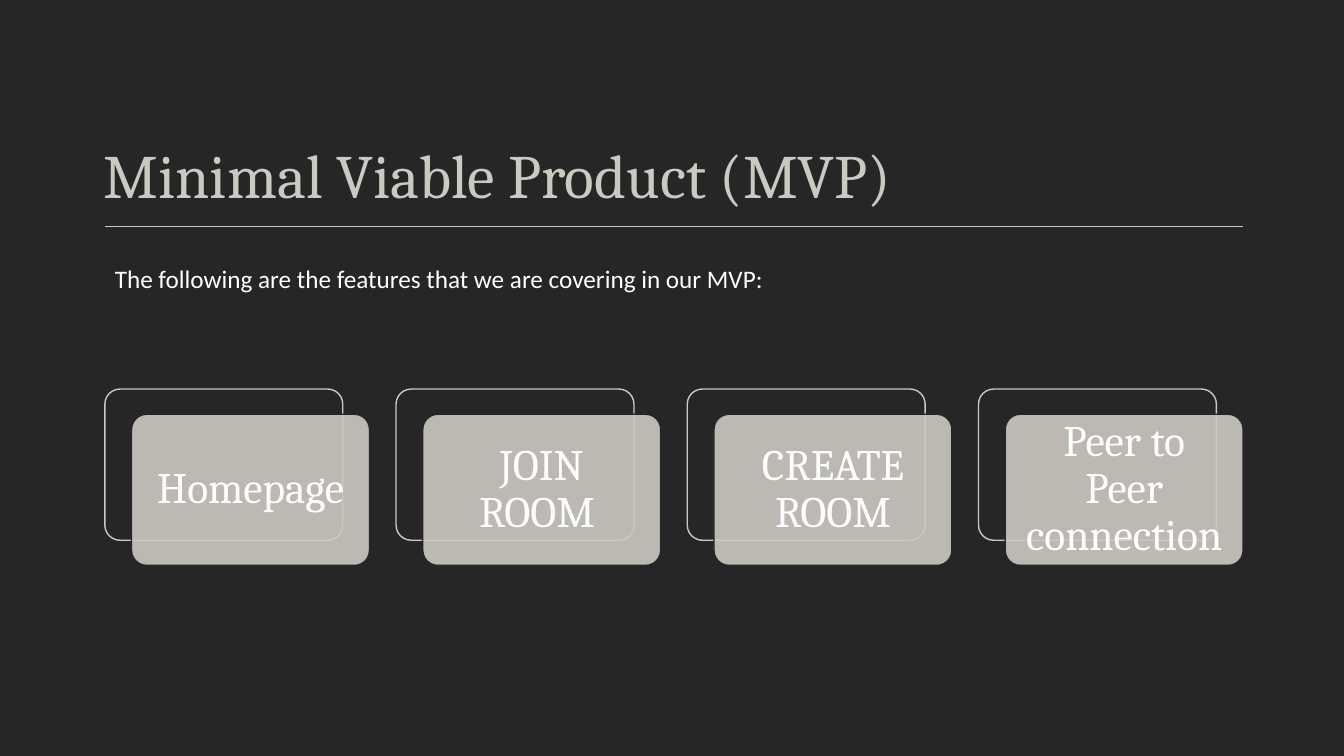
import pptx
import pptx.util
import pptx.dml.color
import pptx.enum.shapes
import pptx.enum.text
import pptx.oxml
import pptx.oxml.ns

Inches, Pt = pptx.util.Inches, pptx.util.Pt
Align, Anchor = pptx.enum.text.PP_ALIGN, pptx.enum.text.MSO_ANCHOR
RGBColor = pptx.dml.color.RGBColor

# Content
TITLE = "Minimal Viable Product (MVP)"
INTRO = "The following are the features that we are covering in our MVP:"
FEATURES = ["Homepage", "JOIN ROOM ", "CREATE ROOM", "Peer to Peer connection"]

# Colours and fonts
DARK = RGBColor(0x26, 0x26, 0x26)
STONE = RGBColor(0xCC, 0xC9, 0xC2)
WHITE = RGBColor(0xFF, 0xFF, 0xFF)
HEADING, BODY = "Cambria", "Calibri"

# Grid, in inches
LEFT, RIGHT = 1.04, 12.33
CARD_WIDTH, CARD_HEIGHT, CARD_TOP = 2.36, 1.5, 3.86
SHIFT_X, SHIFT_Y = 0.265, 0.25
PITCH = (RIGHT - LEFT - SHIFT_X - CARD_WIDTH) / (len(FEATURES) - 1)


def write(shape, text, size, color, font=HEADING, align=Align.LEFT,
          anchor=Anchor.TOP, spacing=1.0, margins=(0.1, 0.05)):
    frame = shape.text_frame
    frame.word_wrap = True
    frame.auto_size = pptx.enum.text.MSO_AUTO_SIZE.NONE
    frame.vertical_anchor = anchor
    frame.margin_left = frame.margin_right = Inches(margins[0])
    frame.margin_top = frame.margin_bottom = Inches(margins[1])
    para = frame.paragraphs[0]
    para.alignment, para.line_spacing = align, spacing
    span = para.add_run()
    span.text = text
    span.font.name, span.font.size = font, Pt(size)
    span.font.color.rgb = color


def add_card(left, top, fill, line):
    card = page.shapes.add_shape(
        pptx.enum.shapes.MSO_SHAPE.ROUNDED_RECTANGLE,
        Inches(left), Inches(top), Inches(CARD_WIDTH), Inches(CARD_HEIGHT))
    card.adjustments[0] = 0.1
    card.shadow.inherit = False
    card.fill.solid()
    card.fill.fore_color.rgb = fill
    card.line.color.rgb = line
    card.line.width = Pt(1)
    return card


deck = pptx.Presentation()
deck.slide_width, deck.slide_height = Inches(13.33), Inches(7.5)
page = deck.slides.add_slide(deck.slide_layouts.get_by_name("Title Only"))
page.background.fill.solid()
page.background.fill.fore_color.rgb = DARK

# Title with its rule
title = page.shapes.title
title.left, title.top = Inches(0.93), Inches(0.96)
title.width, title.height = Inches(11.4), Inches(1.19)
write(title, TITLE, 44, STONE, anchor=Anchor.BOTTOM, spacing=0.9)

rule = page.shapes.add_connector(
    pptx.enum.shapes.MSO_CONNECTOR.STRAIGHT,
    Inches(RIGHT), Inches(2.25), Inches(LEFT), Inches(2.25))
rule.line.color.rgb = STONE
rule.line.width = Pt(0.85)
rule._element.spPr.append(pptx.oxml.parse_xml(
    "<a:effectLst %s/>" % pptx.oxml.ns.nsdecls("a")))

# Feature cards: an outline behind a translucent labelled panel
for column, feature in enumerate(FEATURES):
    left = LEFT + column * PITCH
    add_card(left, CARD_TOP, DARK, STONE)
    panel = add_card(left + SHIFT_X, CARD_TOP + SHIFT_Y, STONE, DARK)
    color = panel._element.spPr.find(".//" + pptx.oxml.ns.qn("a:srgbClr"))
    color.append(pptx.oxml.parse_xml(
        '<a:alpha %s val="90000"/>' % pptx.oxml.ns.nsdecls("a")))
    write(panel, feature, 31, WHITE, align=Align.CENTER,
          anchor=Anchor.MIDDLE, spacing=0.9, margins=(0.16, 0.16))

# Introductory line
intro = page.shapes.add_textbox(
    Inches(LEFT), Inches(2.56), Inches(6.66), Inches(0.4))
write(intro, INTRO, 18, WHITE, font=BODY)

deck.save("out.pptx")
